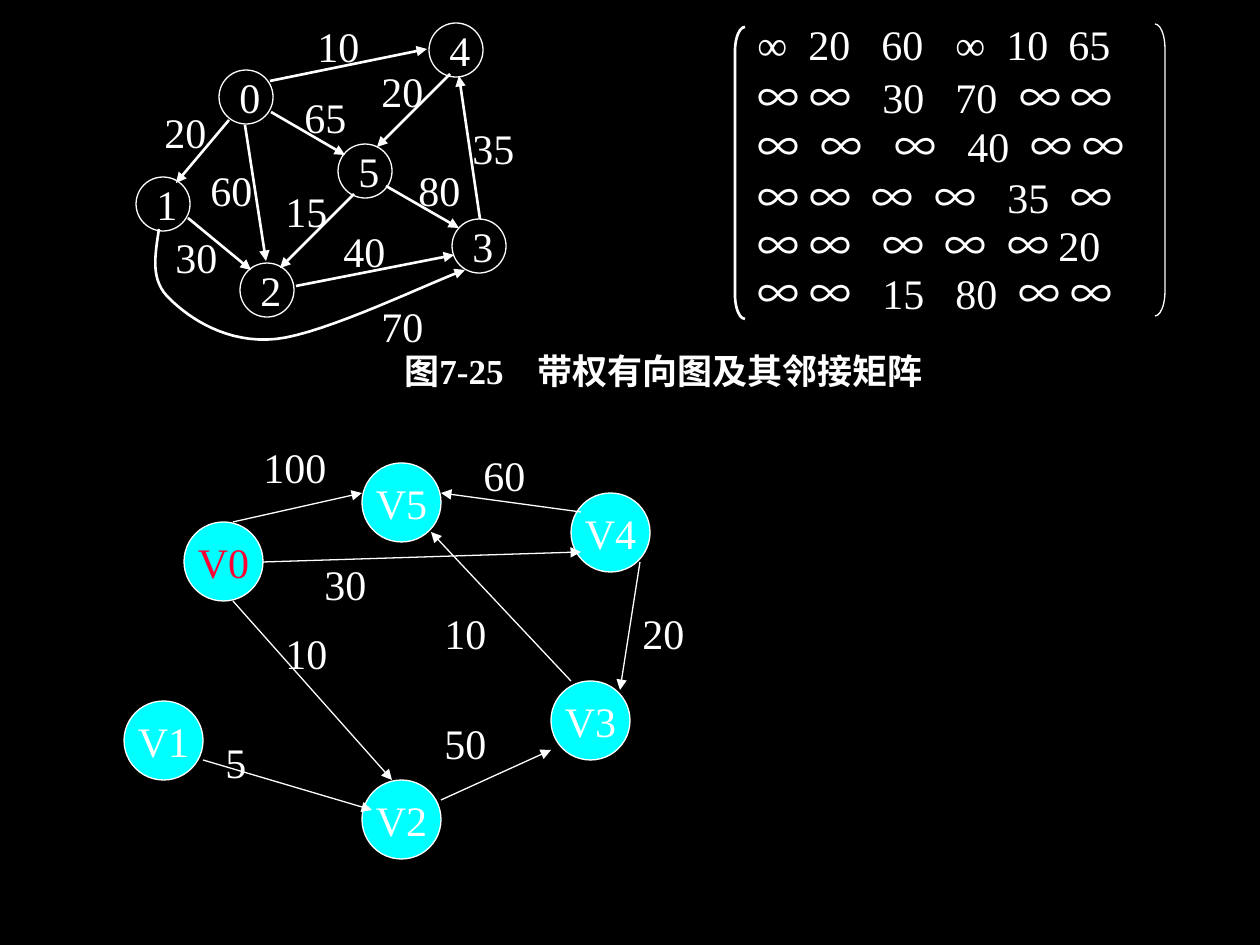
from dataclasses import dataclass

from lxml import etree
from pptx import Presentation
from pptx.dml.color import RGBColor
from pptx.enum.shapes import MSO_CONNECTOR, MSO_SHAPE
from pptx.enum.text import MSO_ANCHOR, PP_ALIGN
from pptx.oxml.ns import qn
from pptx.util import Emu, Pt

STRAIGHT = MSO_CONNECTOR.STRAIGHT
OVAL = MSO_SHAPE.OVAL
LEFT_BRACKET, RIGHT_BRACKET = MSO_SHAPE.LEFT_BRACKET, MSO_SHAPE.RIGHT_BRACKET
TOP, MIDDLE = MSO_ANCHOR.TOP, MSO_ANCHOR.MIDDLE
LEFT, CENTER = PP_ALIGN.LEFT, PP_ALIGN.CENTER
EMU_PER_PX = 914400 / 126


@dataclass(frozen=True)
class Theme:
    background: RGBColor = RGBColor(0, 0, 0)
    ink: RGBColor = RGBColor(255, 255, 255)
    node: RGBColor = RGBColor(0, 255, 255)
    source: RGBColor = RGBColor(255, 0, 51)
    latin: str = "Times New Roman"
    cjk: str = "Noto Sans CJK SC"
    size: int = 24
    caption_size: int = 20
    thin: float = 0.75
    thick: float = 1.5


THEME = Theme()

# Nodes: text, left, top
SMALL_NODES = [("0", 219, 70), ("1", 136, 177), ("2", 240, 263),
               ("3", 452, 219), ("4", 429, 23), ("5", 338, 144)]
LARGE_NODES = [("V1", 124, 701), ("V2", 362, 780), ("V3", 551, 681),
               ("V4", 571, 493), ("V5", 362, 463), ("V0", 184, 522)]

# Edges: weight, label corner, start, end
SMALL_EDGES = [
    ("20", (152, 107), (229, 120), (176, 183)),
    ("30", (163, 232), (188, 218), (251, 270)),
    ("60", (198, 165), (245, 125), (266, 261)),
    ("65", (292, 92), (271, 112), (345, 155)),
    ("15", (273, 186), (354, 194), (280, 268)),
    ("20", (369, 66), (450, 74), (377, 147)),
    ("10", (305, 21), (270, 81), (427, 49)),
    ("80", (406, 165), (386, 186), (459, 228)),
    ("40", (331, 226), (296, 286), (454, 255)),
    ("35", (460, 123), (480, 219), (459, 76)),
]
LARGE_EDGES = [
    ("10", (273, 621), (233, 601), (392, 780)),
    ("5", (213, 730), (203, 760), (372, 810)),
    ("50", (432, 711), (441, 800), (551, 750)),
    ("10", (432, 601), (571, 681), (431, 532)),
    ("30", (312, 552), (263, 562), (581, 552)),
    ("100", (251, 435), (233, 522), (362, 493)),
    ("60", (471, 443), (581, 512), (441, 493)),
    ("20", (630, 601), (640, 562), (620, 690)),
]
CURVE_START = (159, 229)
CURVE_PIECES = [((155, 256), (150, 281), (170, 299)),
                ((189, 318), (227, 344), (276, 339)),
                ((325, 334), (433, 281), (465, 270))]

# Matrix rows: top, values, tab stops, font of the infinity sign
MATRIX = [
    (22, "∞ 20 60 ∞ 10 65", (51, 124, 198, 249, 311), THEME.latin),
    (75, "∞ ∞ 30 70 ∞ ∞", (52, 125, 198, 262, 313), THEME.cjk),
    (124, "∞ ∞ ∞ 40 ∞ ∞", (63, 137, 210, 273, 325), THEME.cjk),
    (175, "∞ ∞ ∞ ∞ 35 ∞", (52, 114, 177, 250, 313), THEME.cjk),
    (223, "∞ ∞ ∞ ∞ ∞ 20", (52, 125, 187, 250, 301), THEME.cjk),
    (271, "∞ ∞ 15 80 ∞ ∞", (52, 125, 198, 261, 313), THEME.cjk),
]


def px(length):
    return Emu(round(length * EMU_PER_PX))


def put_text(shape, spans, *, size=THEME.size, color=THEME.ink, bold=False,
             align=LEFT, anchor=MIDDLE, wrap=False, tabs=()):
    """Fill one paragraph with (text, latin font, east asian font) spans."""
    frame = shape.text_frame
    frame.word_wrap = wrap
    frame.vertical_anchor = anchor
    para = frame.paragraphs[0]
    para.alignment = align
    if tabs:
        stops = etree.SubElement(para._p.get_or_add_pPr(), qn("a:tabLst"))
        for stop in tabs:
            etree.SubElement(stops, qn("a:tab"), pos=str(px(stop)), algn="l")
    for text, latin, east_asian in spans:
        span = para.add_run()
        span.text = text
        font = span.font
        font.name, font.size, font.bold = latin, Pt(size), bold
        font.color.rgb = color
        etree.SubElement(span._r.get_or_add_rPr(), qn("a:ea"), typeface=east_asian)


def plain(text):
    return [(text, THEME.latin, THEME.latin)]


def add_text(slide, spans, left, top, width, height, **form):
    box = slide.shapes.add_textbox(px(left), px(top), px(width), px(height))
    put_text(box, spans, **form)


def add_weight(slide, weight, corner, height, **form):
    """Edge label, just wide enough for its digits and margins."""
    width = 26 + 21 * len(weight)
    add_text(slide, plain(weight), *corner, width, height, **form)


def draw_line(shape, weight, arrow=False):
    shape.line.color.rgb = THEME.ink
    shape.line.width = Pt(weight)
    if arrow:
        outline = shape._element.spPr.find(qn("a:ln"))
        etree.SubElement(outline, qn("a:tailEnd"), type="triangle")


def add_outline(slide, kind, left, top, width, height, weight):
    shape = slide.shapes.add_shape(kind, px(left), px(top), px(width), px(height))
    shape.shadow.inherit = False
    shape.fill.background()
    draw_line(shape, weight)
    return shape


def add_node(slide, text, left, top, size, fill=None, **form):
    node = add_outline(slide, OVAL, left, top, size, size, THEME.thin)
    if fill is not None:
        node.fill.solid()
        node.fill.fore_color.rgb = fill
    put_text(node, plain(text), **form)


def add_arrow(slide, start, end, weight):
    arrow = slide.shapes.add_connector(STRAIGHT, *map(px, start + end))
    draw_line(arrow, weight, arrow=True)
    etree.SubElement(arrow._element.spPr, qn("a:effectLst"))


def curve_points(start, pieces, steps=16):
    """Points in EMU along a chain of cubic Bézier pieces, without the start."""
    points = []
    for first, second, end in pieces:
        for step in range(1, steps + 1):
            t = step / steps
            u = 1 - t
            points.append(tuple(
                px(u**3 * a + 3 * u * u * t * b + 3 * u * t * t * c + t**3 * d)
                for a, b, c, d in zip(start, first, second, end)))
        start = end
    return points


def add_curved_arrow(slide, start, pieces):
    builder = slide.shapes.build_freeform(*map(px, start))
    builder.add_line_segments(curve_points(start, pieces), close=False)
    curve = builder.convert_to_shape()
    curve.shadow.inherit = False
    curve.fill.background()
    draw_line(curve, THEME.thick, arrow=True)


def add_small_graph(slide):
    for text, left, top in SMALL_NODES:
        add_node(slide, text, left, top, 54)
    for weight, corner, start, end in SMALL_EDGES:
        add_weight(slide, weight, corner, 49)
        add_arrow(slide, start, end, THEME.thick)
    add_weight(slide, "70", (369, 301), 49)
    add_curved_arrow(slide, CURVE_START, CURVE_PIECES)


def add_large_graph(slide):
    for text, left, top in LARGE_NODES:
        color = THEME.source if text == "V0" else THEME.ink
        add_node(slide, text, left, top, 79, THEME.node, color=color, align=CENTER)
    for weight, corner, start, end in LARGE_EDGES:
        add_arrow(slide, start, end, THEME.thin)
        add_weight(slide, weight, corner, 63, anchor=TOP)


def add_matrix(slide):
    for top, values, tabs, infinity_font in MATRIX:
        spans = []
        for column, value in enumerate(values.split()):
            font = infinity_font if value == "∞" else THEME.latin
            spans.append(("\t" * (column > 0) + value, font, font))
        add_text(slide, spans, 745, top, 402, 44, wrap=True, tabs=tabs)
    for kind, left, top, weight in [(LEFT_BRACKET, 735, 27, THEME.thick),
                                    (RIGHT_BRACKET, 1155, 24, THEME.thin)]:
        bracket = add_outline(slide, kind, left, top, 10, 292, weight)
        bracket.adjustments[0] = 2.45


def main():
    deck = Presentation()
    deck.slide_width, deck.slide_height = px(1260), px(945)
    slide = deck.slides.add_slide(deck.slide_layouts[6])
    slide.background.fill.solid()
    slide.background.fill.fore_color.rgb = THEME.background
    add_small_graph(slide)
    caption = [("图7-25\t带权有向图及其邻接矩阵", THEME.latin, THEME.cjk)]
    add_text(slide, caption, 392, 349, 556, 44, size=THEME.caption_size,
             bold=True, tabs=(133,))
    add_matrix(slide)
    add_large_graph(slide)
    deck.save("out.pptx")


if __name__ == "__main__":
    main()
